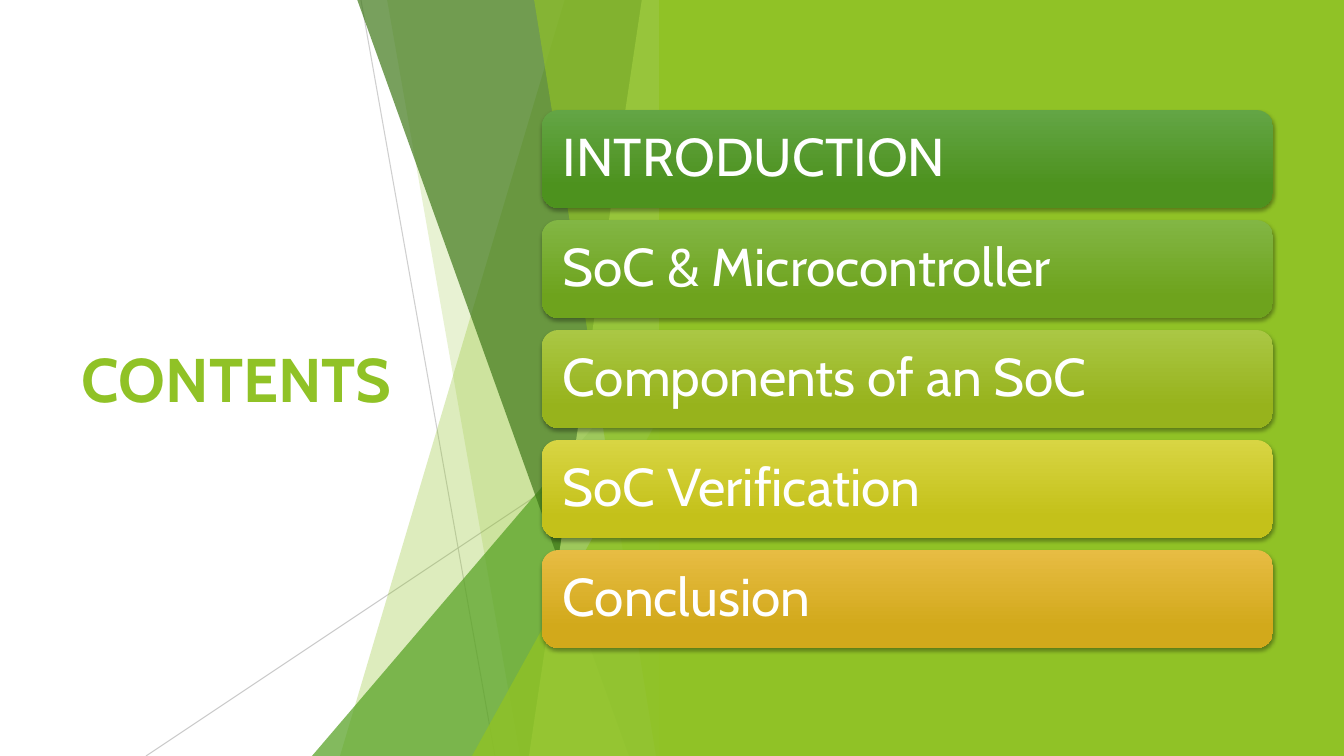
from lxml.etree import SubElement
from pptx import Presentation
from pptx.dml.color import RGBColor
from pptx.enum.shapes import MSO_CONNECTOR, MSO_SHAPE
from pptx.enum.text import MSO_ANCHOR, PP_ALIGN
from pptx.oxml.ns import qn
from pptx.util import Pt

EMU_PER_PX = 914400 / 100.8
FONT = "Cabin"
COLORS = {
    "white": "FFFFFF",
    "black": "000000",
    "lime": "90C226",
    "pale_lime": "C0E474",
    "green": "54A021",
    "dark_green": "3F7819",
    "gray": "BFBFBF",
}
TOP, BOTTOM, SEAM = -1, 756, 671

# Each line: from x, from y, to x, to y, opacity
THIN_LINES = [(361, 0, 495, 756, 75), (671, 406, 146, 756, 80)]

# Each facet runs to the seam: top-left x, bottom-left x, colour, opacity, top y
FACETS = [
    (565, 340, "lime", 30, TOP),
    (387, 520, "lime", 20, TOP),
    (SEAM, 312, "green", 72, 336),
    (357, 629, "dark_green", 70, TOP),
    (642, 529, "pale_lime", 70, TOP),
    (534, 656, "lime", 65, TOP),
    (SEAM, 472, "lime", 80, 396),
]

# Each topic: text, gradient top, gradient bottom
TOPICS = [
    ("INTRODUCTION", "63A545", "4D921E"),
    ("SoC & Microcontroller", "82B644", "6EA31D"),
    ("Components of an SoC", "AAC744", "97B31C"),
    ("SoC Verification", "D8D543", "C4C11A"),
    ("Conclusion", "E7BC43", "D2A91B"),
]
BAR_LEFT, BAR_TOP, BAR_WIDTH, BAR_HEIGHT, BAR_PITCH = 542, 110, 731, 98, 110


def px(*lengths):
    return [round(length * EMU_PER_PX) for length in lengths]


def rgb(name):
    return RGBColor.from_string(COLORS[name])


def set_opacity(element, percent):
    color = next(element.iter(qn("a:srgbClr")))
    SubElement(color, qn("a:alpha"), val=str(percent * 1000))


def fill_plain(shape, color):
    shape.shadow.inherit = False
    shape.fill.solid()
    shape.fill.fore_color.rgb = rgb(color)
    shape.line.fill.background()


def add_thin_line(slide, x1, y1, x2, y2, opacity):
    line = slide.shapes.add_connector(MSO_CONNECTOR.STRAIGHT, *px(x1, y1, x2, y2))
    line.line.color.rgb = rgb("gray")
    line.line.width = Pt(0.75)
    properties = line._element.spPr
    set_opacity(properties, opacity)
    SubElement(properties, qn("a:effectLst"))


def add_facet(slide, top_x, bottom_x, color, opacity, top):
    builder = slide.shapes.build_freeform(top_x, top, EMU_PER_PX)
    builder.add_line_segments([(SEAM, top), (SEAM, BOTTOM), (bottom_x, BOTTOM)])
    shape = builder.convert_to_shape()
    fill_plain(shape, color)
    set_opacity(shape._element.spPr, opacity)


def add_panel(slide):
    panel = slide.shapes.add_shape(MSO_SHAPE.RECTANGLE, *px(659, 0, 685, 756))
    fill_plain(panel, "lime")


def write_text(shape, text, size, color, bold=False):
    frame = shape.text_frame
    frame.word_wrap = True
    frame.vertical_anchor = MSO_ANCHOR.MIDDLE
    paragraph = frame.paragraphs[0]
    paragraph.text = text
    paragraph.alignment = PP_ALIGN.LEFT
    paragraph.line_spacing = 0.9 if not bold else 1.0
    paragraph.font.name = FONT
    paragraph.font.size = Pt(size)
    paragraph.font.bold = bold
    paragraph.font.color.rgb = rgb(color)


def add_soft_shadow(shape):
    shape.shadow.inherit = False
    effects = shape._element.spPr.find(qn("a:effectLst"))
    shadow = SubElement(effects, qn("a:outerShdw"), blurRad=str(Pt(3)),
                        dist=str(Pt(2)), dir="5400000", rotWithShape="0")
    SubElement(shadow, qn("a:srgbClr"), val=COLORS["black"])
    set_opacity(shadow, 35)


def add_topic_bar(slide, index, text, top_color, bottom_color):
    bar = slide.shapes.add_shape(
        MSO_SHAPE.ROUNDED_RECTANGLE,
        *px(BAR_LEFT, BAR_TOP + index * BAR_PITCH, BAR_WIDTH, BAR_HEIGHT))
    bar.line.fill.background()
    bar.fill.gradient()
    bar.fill.gradient_angle = 270
    stops = zip(bar.fill.gradient_stops, (0, 0.78), (top_color, bottom_color))
    for stop, position, color in stops:
        stop.position = position
        stop.color.rgb = RGBColor.from_string(color)
    add_soft_shadow(bar)
    bar.text_frame.margin_left, bar.text_frame.margin_right = px(16, 16)
    write_text(bar, text, 38, "white")


def main():
    presentation = Presentation()
    presentation.slide_width, presentation.slide_height = px(1344, 756)
    slide = presentation.slides.add_slide(presentation.slide_layouts[6])

    # Title
    title = slide.shapes.add_textbox(*px(72, 152, 391, 452))
    write_text(title, "CONTENTS", 44, "lime", bold=True)

    # Faceted backdrop
    for line in THIN_LINES:
        add_thin_line(slide, *line)
    for facet in FACETS:
        add_facet(slide, *facet)
    add_panel(slide)

    # Topic list
    for index, topic in enumerate(TOPICS):
        add_topic_bar(slide, index, *topic)

    presentation.save("out.pptx")


if __name__ == "__main__":
    main()
